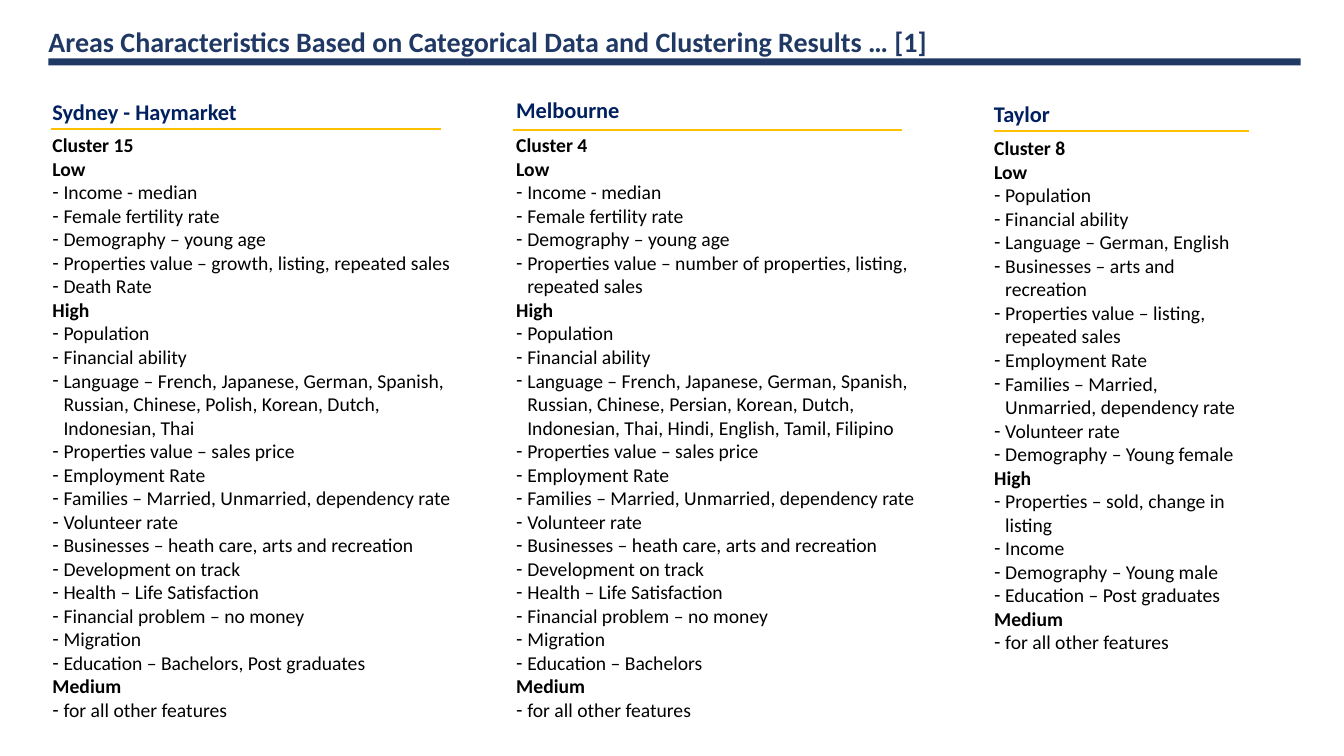
from lxml import etree
from pptx import Presentation
from pptx.dml.color import RGBColor
from pptx.enum.shapes import MSO_CONNECTOR, MSO_SHAPE
from pptx.enum.text import MSO_ANCHOR, MSO_AUTO_SIZE, PP_ALIGN
from pptx.oxml.ns import qn
from pptx.util import Emu, Pt

PX = 9144
FONT = "Calibri"
NAVY, HEADING_BLUE, GOLD, BLACK = "203864", "002060", "FFC000", "000000"
HANG = 11
RECTANGLE, STRAIGHT = MSO_SHAPE.RECTANGLE, MSO_CONNECTOR.STRAIGHT
TOP, MIDDLE, LEFT = MSO_ANCHOR.TOP, MSO_ANCHOR.MIDDLE, PP_ALIGN.LEFT
NO_AUTOFIT = MSO_AUTO_SIZE.NONE

FAMILIES = "Families – Married, Unmarried, dependency rate"
REST = ["for all other features"]
CITY_LOW = ["Income - median", "Female fertility rate", "Demography – young age"]


def city_high(languages, education):
    return [
        "Population",
        "Financial ability",
        f"Language – {languages}",
        "Properties value – sales price",
        "Employment Rate",
        FAMILIES,
        "Volunteer rate",
        "Businesses – heath care, arts and recreation",
        "Development on track",
        "Health – Life Satisfaction",
        "Financial problem – no money",
        "Migration",
        f"Education – {education}",
    ]


SYDNEY = {
    "Low": CITY_LOW + ["Properties value – growth, listing, repeated sales", "Death Rate"],
    "High": city_high(
        "French, Japanese, German, Spanish, Russian, Chinese, Polish, Korean, "
        "Dutch, Indonesian, Thai",
        "Bachelors, Post graduates",
    ),
    "Medium": REST,
}
MELBOURNE = {
    "Low": CITY_LOW + ["Properties value – number of properties, listing, repeated sales"],
    "High": city_high(
        "French, Japanese, German, Spanish, Russian, Chinese, Persian, Korean, "
        "Dutch, Indonesian, Thai, Hindi, English, Tamil, Filipino",
        "Bachelors",
    ),
    "Medium": REST,
}
TAYLOR = {
    "Low": [
        "Population",
        "Financial ability",
        "Language – German, English",
        "Businesses – arts and recreation",
        "Properties value – listing, repeated sales",
        "Employment Rate",
        FAMILIES,
        "Volunteer rate",
        "Demography – Young female",
    ],
    "High": [
        "Properties – sold, change in listing",
        "Income",
        "Demography – Young male",
        "Education – Post graduates",
    ],
    "Medium": REST,
}

AREAS = [
    ("Sydney - Haymarket", "Cluster 15", SYDNEY, (42, 92, 422), (127, 576), (51, 437, 128)),
    ("Melbourne", "Cluster 4", MELBOURNE, (502, 90, 422), (127, 623), (509, 895, 129)),
    ("Taylor", "Cluster 8", TAYLOR, (976, 94, 277), (130, 528), (986, 1239, 130)),
]


def px(*lengths):
    return [Emu(length * PX) for length in lengths]


def rgb(value):
    return RGBColor.from_string(value)


def write(paragraph, text, size=14, color=BLACK, bold=False, bullet=None):
    properties = paragraph._p.get_or_add_pPr()
    indent = HANG * PX if bullet else 0
    properties.set("marL", str(indent))
    properties.set("indent", str(-indent))
    if bullet:
        etree.SubElement(properties, qn("a:buChar")).set("char", bullet)
    else:
        etree.SubElement(properties, qn("a:buNone"))
    paragraph.alignment = LEFT
    paragraph.line_spacing = 1.0
    paragraph.space_before = paragraph.space_after = Pt(0)
    run = paragraph.add_run()
    run.text = text
    run.font.name = FONT
    run.font.size = Pt(size)
    run.font.bold = bold
    run.font.color.rgb = rgb(color)


def place(shape, left, top, width, height, anchor=TOP, wrap=True, inset=5):
    shape.left, shape.top, shape.width, shape.height = px(left, top, width, height)
    frame = shape.text_frame
    frame.auto_size = NO_AUTOFIT
    frame.word_wrap = wrap
    frame.vertical_anchor = anchor
    frame.margin_left, frame.margin_right = px(10, 10)
    frame.margin_top, frame.margin_bottom = px(inset, inset)
    return frame


def add_title(slide, text):
    frame = place(slide.shapes.title, 38, 24, 1006, 34, anchor=MIDDLE, wrap=False, inset=0)
    write(frame.paragraphs[0], text, size=20, color=NAVY, bold=True)


def add_title_bar(slide):
    bar = slide.shapes.add_shape(RECTANGLE, *px(48, 58, 1242, 7))
    bar.shadow.inherit = False
    bar.fill.solid()
    bar.fill.fore_color.rgb = rgb(NAVY)
    bar.line.fill.background()


def add_heading(slide, text, left, top, width):
    box = slide.shapes.add_textbox(*px(left, top, width, 37))
    frame = place(box, left, top, width, 37)
    write(frame.paragraphs[0], text, size=16, color=HEADING_BLUE, bold=True)


def add_rule(slide, start, end, y):
    rule = slide.shapes.add_connector(STRAIGHT, *px(start, y, end, y))
    rule.line.color.rgb = rgb(GOLD)
    rule.line.width = Pt(1.5)
    etree.SubElement(rule._element.spPr, qn("a:effectLst"))


def fill_profile(body, cluster, profile, left, top, width, height):
    frame = place(body, left, top, width, height)
    write(frame.paragraphs[0], cluster, bold=True)
    for level, features in profile.items():
        write(frame.add_paragraph(), level, bold=True)
        for feature in features:
            write(frame.add_paragraph(), feature, bullet="-")


def main():
    deck = Presentation()
    deck.slide_width, deck.slide_height = px(1333, 750)
    slide = deck.slides.add_slide(deck.slide_layouts.get_by_name("Comparison"))
    title, *bodies = slide.placeholders
    add_title(slide, "Areas Characteristics Based on Categorical Data and Clustering Results … [1]")
    add_title_bar(slide)
    for body, area in zip(bodies, AREAS):
        name, cluster, profile, (left, top, width), (list_top, list_height), rule = area
        add_heading(slide, name, left, top, width)
        fill_profile(body, cluster, profile, left, list_top, width, list_height)
        add_rule(slide, *rule)
    for unused in bodies[len(AREAS):]:
        unused._element.getparent().remove(unused._element)
    deck.save("out.pptx")


if __name__ == "__main__":
    main()
